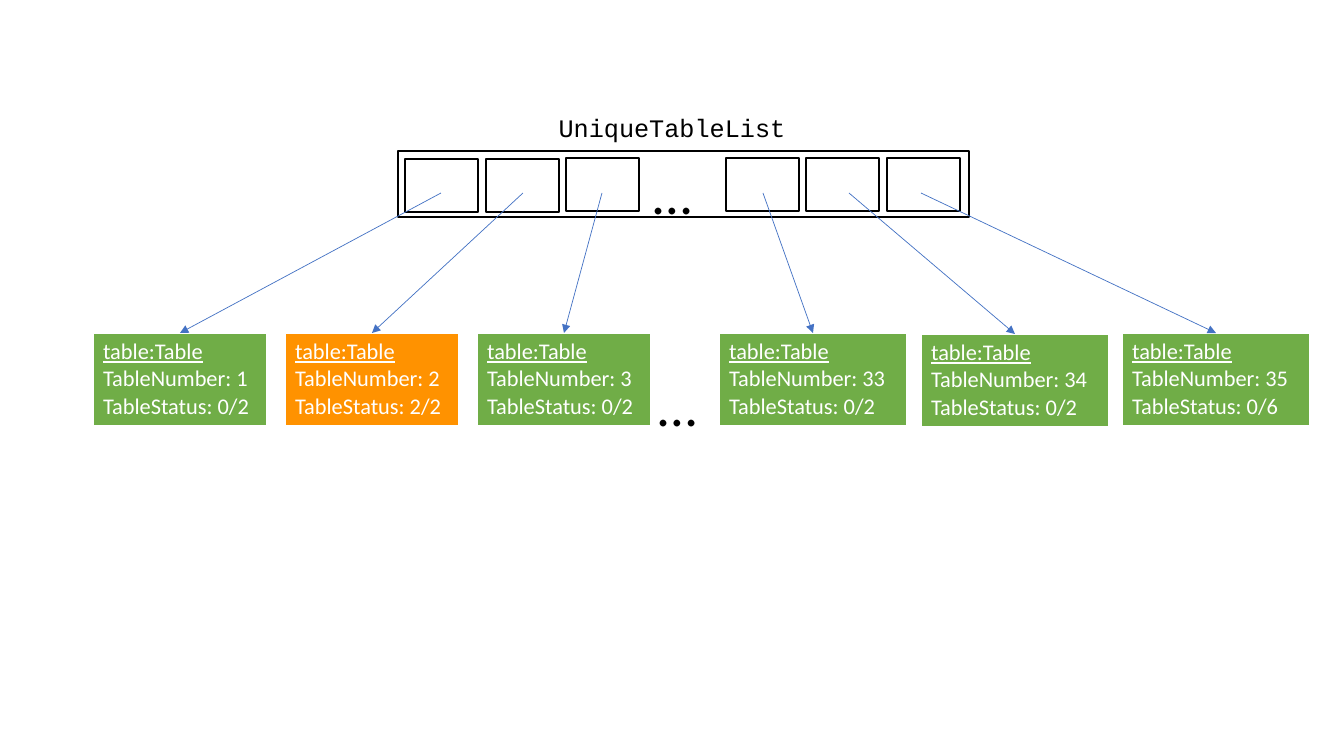
from pptx import Presentation, util as u
from pptx.dml.color import RGBColor
from pptx.enum import shapes, text
from pptx.oxml.ns import qn
from lxml import etree

PX = 914400 / 100.8


def px(*values):
    return [u.Emu(round(v * PX)) for v in values]


def style(font, name, size, color):
    font.name = name
    font.size = u.Pt(size)
    font.color.rgb = RGBColor.from_string(color)


prs = Presentation()
prs.slide_width, prs.slide_height = px(1344, 756)
s = prs.slides.add_slide(prs.slide_layouts[6])

tables = [
    (93, 333, 174, 405, 159, 441, 1, "0/2", "70AD47"),
    (285, 333, 174, 486, 159, 523, 2, "2/2", "FF9200"),
    (477, 333, 174, 566, 158, 602, 3, "0/2", "70AD47"),
    (719, 333, 188, 726, 158, 763, 33, "0/2", "70AD47"),
    (921, 334, 188, 806, 158, 849, 34, "0/2", "70AD47"),
    (1122, 333, 188, 887, 158, 921, 35, "0/6", "70AD47"),
]

list_frame = (398, 151, 571, 66)
slots = [(slot_x, slot_y, 73, 53) for _, _, _, slot_x, slot_y, *_ in tables]
for box in [list_frame] + slots:
    sp = s.shapes.add_shape(shapes.MSO_SHAPE.RECTANGLE, *px(*box))
    sp.shadow.inherit = False
    sp.fill.background()
    sp.line.color.rgb = RGBColor.from_string("000000")
    sp.line.width = u.Pt(1)

for x, y, w, slot_x, slot_y, start_x, number, status, color in tables:
    frame = s.shapes.add_table(1, 1, *px(x, y, w, 91))
    cell = frame.table.cell(0, 0)
    cell.fill.solid()
    cell.fill.fore_color.rgb = RGBColor.from_string(color)
    tf = cell.text_frame
    tf.text = f"table:Table\nTableNumber: {number}\nTableStatus: {status}"
    for i, p in enumerate(tf.paragraphs):
        r = p.runs[0]
        style(r.font, "Calibri", 16, "FFFFFF")
        r.font.bold = False
        r.font.underline = i == 0

    arrow = s.shapes.add_connector(shapes.MSO_CONNECTOR.STRAIGHT, *px(start_x, 193, x + w / 2, y))
    arrow.line.color.rgb = RGBColor.from_string("4472C4")
    arrow.line.width = u.Pt(0.5)
    etree.SubElement(arrow.line._get_or_add_ln(), qn("a:tailEnd"), type="triangle")
    etree.SubElement(arrow._element.spPr, qn("a:effectLst"))

labels = [
    ("UniqueTableList", (495, 107, 354, 40), "Courier New", 18, text.PP_ALIGN.CENTER),
    ("…", (643, 154, 33, 78), "Calibri", 40, text.PP_ALIGN.LEFT),
    ("…", (648, 366, 33, 78), "Calibri", 40, text.PP_ALIGN.LEFT),
]
for label, box, font, size, align in labels:
    tf = s.shapes.add_textbox(*px(*box)).text_frame
    tf.word_wrap = True
    tf.auto_size = text.MSO_AUTO_SIZE.SHAPE_TO_FIT_TEXT
    tf.text = label
    p = tf.paragraphs[0]
    p.alignment = align
    style(p.runs[0].font, font, size, "000000")

prs.save("out.pptx")
